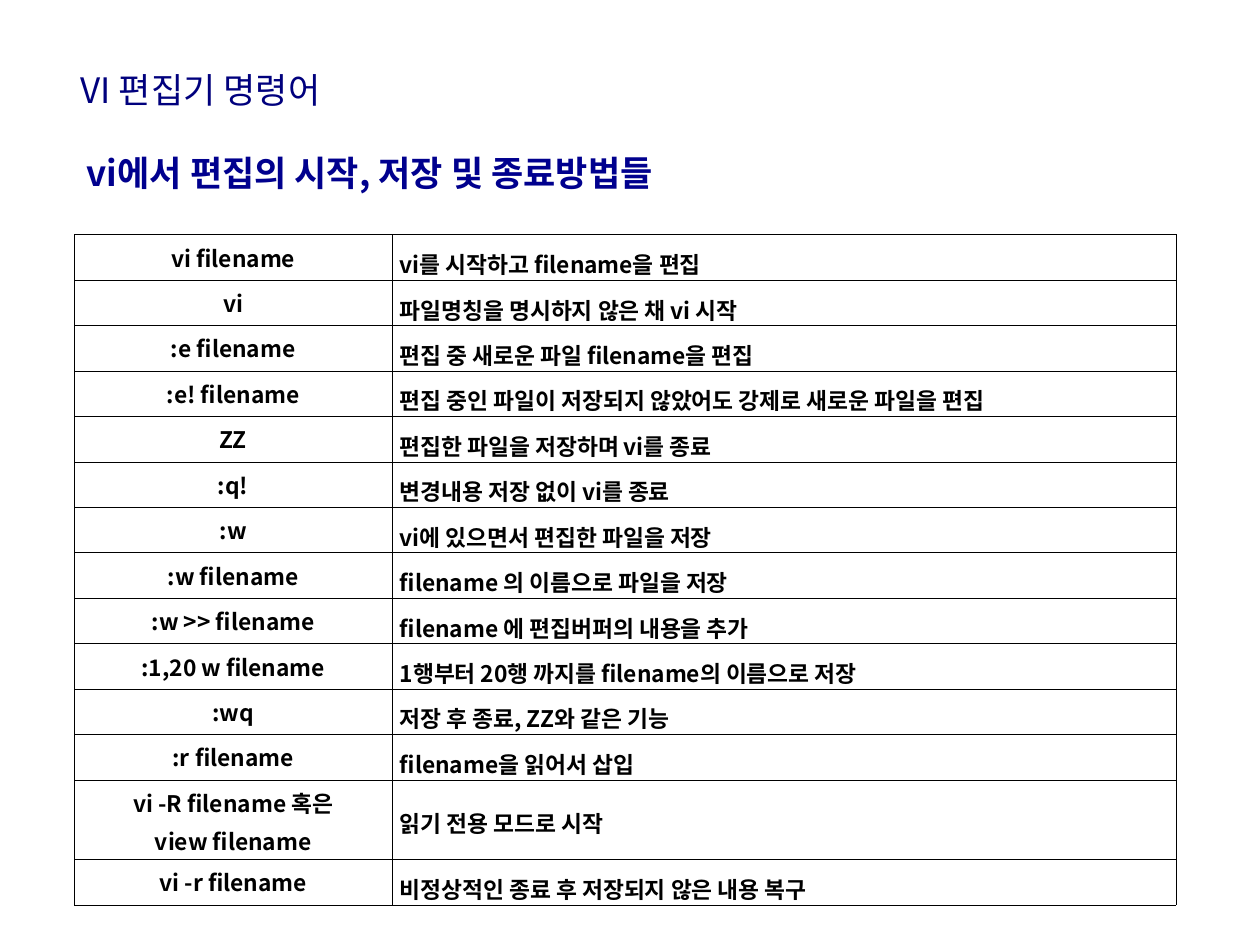
from pptx import Presentation
from pptx.dml.color import RGBColor
from pptx.enum.text import MSO_ANCHOR, MSO_AUTO_SIZE, PP_ALIGN
from pptx.oxml.ns import qn
from pptx.util import Pt
from lxml.etree import SubElement

FONT = "Noto Sans CJK KR"
NAVY = RGBColor(0x00, 0x00, 0x7D)
BLUE = RGBColor(0x00, 0x00, 0x8E)
BLACK = RGBColor(0x00, 0x00, 0x00)

ROWS = [
    ("vi filename", "vi를 시작하고 filename을 편집"),
    ("vi", "파일명칭을 명시하지 않은 채 vi 시작"),
    (":e filename", "편집 중 새로운 파일 filename을 편집"),
    (":e! filename", "편집 중인 파일이 저장되지 않았어도 강제로 새로운 파일을 편집"),
    ("ZZ", "편집한 파일을 저장하며 vi를 종료"),
    (":q!", "변경내용 저장 없이 vi를 종료"),
    (":w", "vi에 있으면서 편집한 파일을 저장"),
    (":w filename", "filename 의 이름으로 파일을 저장"),
    (":w >> filename", "filename 에 편집버퍼의 내용을 추가"),
    (":1,20 w filename", "1행부터 20행 까지를 filename의 이름으로 저장"),
    (":wq", "저장 후 종료, ZZ와 같은 기능"),
    (":r filename", "filename을 읽어서 삽입"),
    ("vi -R filename 혹은\nview filename", "읽기 전용 모드로 시작"),
    ("vi -r filename", "비정상적인 종료 후 저장되지 않은 내용 복구"),
]


def add_run(para, text, size, color, bold):
    run = para.add_run()
    run.text = text
    font = run.font
    font.size, font.bold, font.name = Pt(size), bold, FONT
    font.color.rgb = color
    SubElement(font._element, qn("a:ea"), typeface=FONT)


def add_label(slide, text, area, color, bold, wrap):
    frame = slide.shapes.add_textbox(*map(Pt, area)).text_frame
    frame.word_wrap = wrap
    if not wrap:
        frame.auto_size = MSO_AUTO_SIZE.SHAPE_TO_FIT_TEXT
    add_run(frame.paragraphs[0], text, 20, color, bold)


def add_edges(cell):
    props = cell._tc.get_or_add_tcPr()
    for side in ("lnL", "lnR", "lnT", "lnB"):
        line = SubElement(props, qn("a:" + side), w=str(Pt(0.11)))
        fill = SubElement(line, qn("a:solidFill"))
        SubElement(fill, qn("a:srgbClr"), val=str(BLACK))


def fill_cell(cell, text, align, space=None):
    add_edges(cell)
    cell.fill.background()
    cell.vertical_anchor = MSO_ANCHOR.MIDDLE
    cell.margin_left = cell.margin_right = Pt(4.5)
    cell.margin_top = cell.margin_bottom = Pt(3.6)
    frame = cell.text_frame
    for index, line in enumerate(text.split("\n")):
        para = frame.add_paragraph() if index else frame.paragraphs[0]
        para.alignment = align
        para.line_spacing = space
        if index:
            para.space_before = Pt(3.3)
        add_run(para, line, 13, BLACK, True)


def add_grid(slide):
    area = map(Pt, (42.5, 134, 629.5, 344))
    table = slide.shapes.add_table(len(ROWS), 2, *area).table
    table.first_row = table.horz_banding = False
    for column, width in zip(table.columns, (181.5, 448)):
        column.width = Pt(width)
    for index, (command, meaning) in enumerate(ROWS):
        table.rows[index].height = Pt(45.5 if "\n" in command else 23)
        fill_cell(table.cell(index, 0), command, PP_ALIGN.CENTER)
        fill_cell(table.cell(index, 1), meaning, PP_ALIGN.JUSTIFY, 1.2)


def main():
    deck = Presentation()
    deck.slide_width, deck.slide_height = Pt(720), Pt(540)
    slide = deck.slides.add_slide(deck.slide_layouts[6])
    add_label(slide, "vi에서 편집의 시작, 저장 및 종료방법들",
              (42.5, 83, 633, 39.5), BLUE, True, True)
    add_grid(slide)
    add_label(slide, "VI 편집기 명령어", (39, 35.5, 168, 31.5), NAVY, False, False)
    deck.save("out.pptx")


if __name__ == "__main__":
    main()
